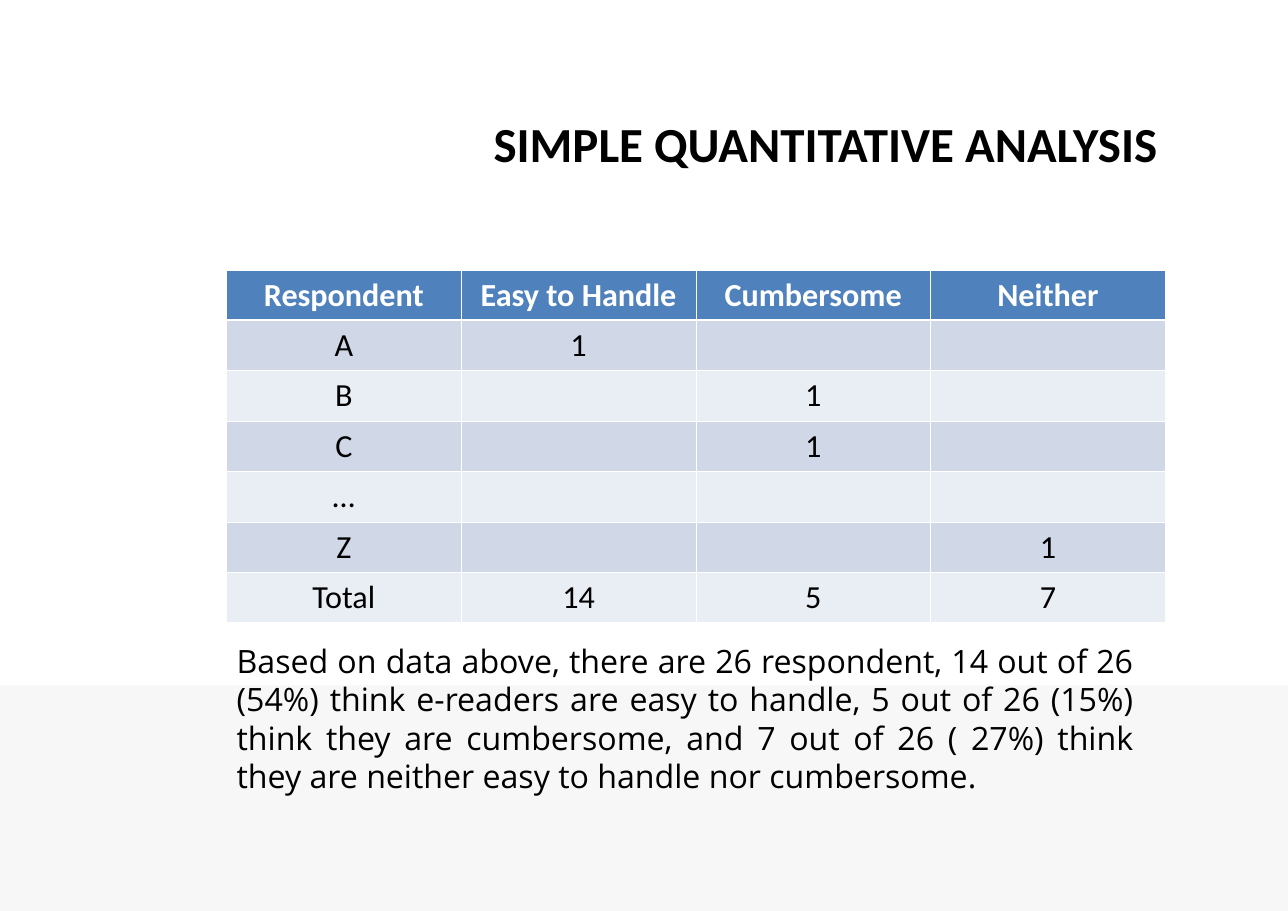
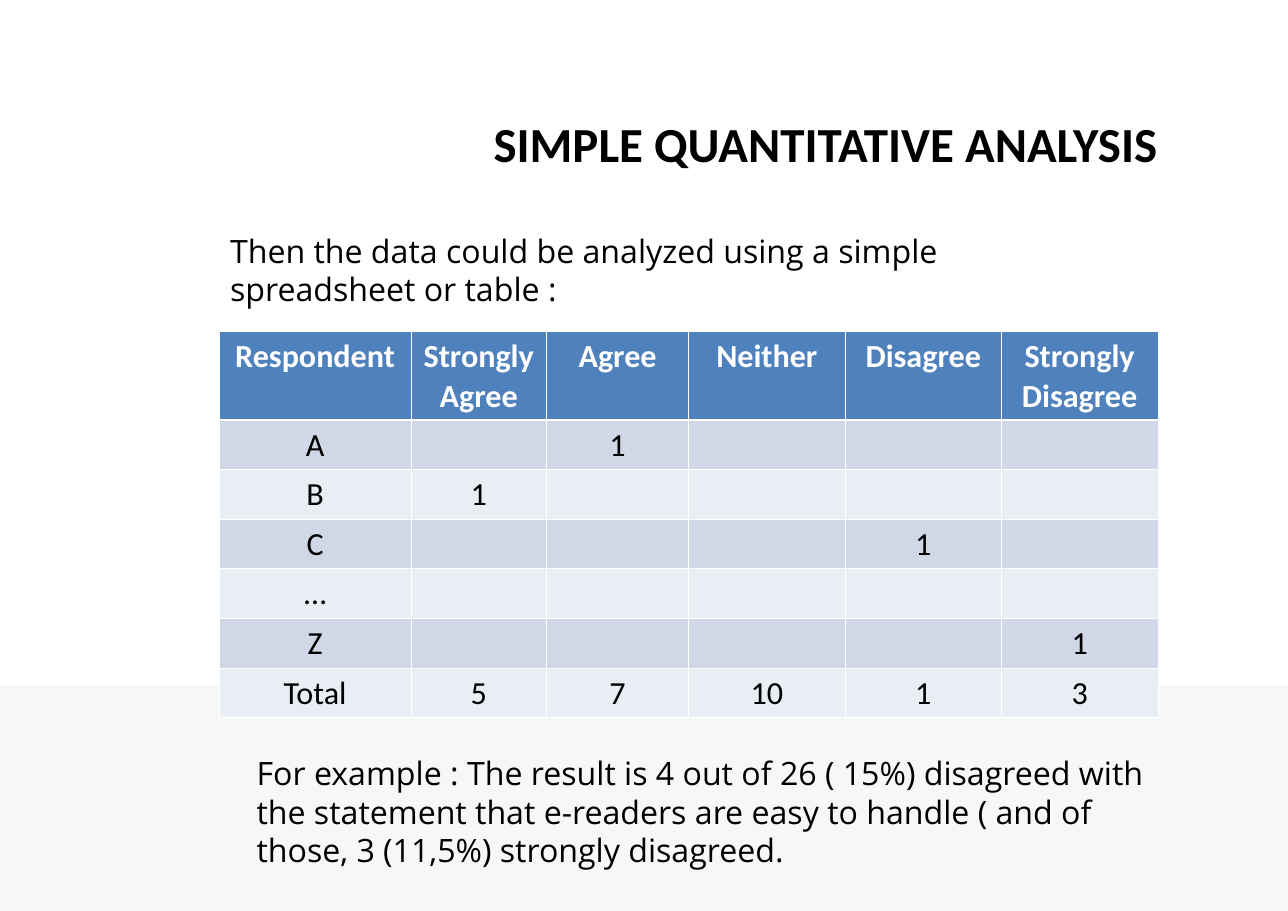
from lxml.etree import SubElement
from pptx import Presentation
from pptx.dml.color import RGBColor
from pptx.enum.shapes import MSO_SHAPE
from pptx.enum.text import MSO_ANCHOR, PP_ALIGN
from pptx.oxml.ns import qn
from pptx.util import Pt

COLORS = {
    "text": "000000",
    "white": "FFFFFF",
    "footer": "F7F7F7",
    "header": "4F81BD",
    "odd_row": "D0D8E8",
    "even_row": "E9EDF4",
}
TITLE_FONT = TABLE_FONT = "Calibri"
BODY_FONT = "Open Sans"
BODY_SIZE = 21
SLIDE_W, SLIDE_H = 841.7, 595.4
FOOTER_TOP = 448
ROW_H = 32.4
THIN, THICK = 0.45, 1.47


def color(name):
    return RGBColor.from_string(COLORS[name])


def format_text(tf, font, size, color_name="text", bold=False, align=PP_ALIGN.LEFT):
    for p in tf.paragraphs:
        p.alignment = align
        for r in p.runs:
            r.font.name = font
            r.font.size = Pt(size)
            r.font.bold = bold
            r.font.color.rgb = color(color_name)


def add_footer_band(slide):
    """Draw the band and move it to the layout, so that every slide shows it."""
    sp = slide.shapes.add_shape(MSO_SHAPE.RECTANGLE, 0, Pt(FOOTER_TOP),
                                Pt(SLIDE_W), Pt(SLIDE_H - FOOTER_TOP))
    sp.shadow.inherit = False
    sp.fill.solid()
    sp.fill.fore_color.rgb = color("footer")
    sp.line.fill.background()
    slide.slide_layout.shapes.element.insert(2, sp.element)


def set_title(slide, text):
    title = slide.shapes.title
    title.left, title.top, title.width, title.height = Pt(306), Pt(70.5), Pt(458), Pt(46)
    tf = title.text_frame
    tf.text = text
    tf.word_wrap = True
    tf.vertical_anchor = MSO_ANCHOR.TOP
    format_text(tf, TITLE_FONT, 32, bold=True, align=PP_ALIGN.RIGHT)


def add_body(slide, text, left, top, width, height, align=PP_ALIGN.LEFT):
    tf = slide.shapes.add_textbox(Pt(left), Pt(top), Pt(width), Pt(height)).text_frame
    tf.word_wrap = True
    tf.text = text
    format_text(tf, BODY_FONT, BODY_SIZE, align=align)


def set_borders(cell, widths):
    """Draw white borders; widths maps the border tags to points."""
    tc_pr = cell._tc.get_or_add_tcPr()
    for i, (tag, width) in enumerate(widths.items()):
        ln = tc_pr.makeelement(qn(f"a:{tag}"), {"w": str(int(Pt(width)))})
        fill = SubElement(ln, qn("a:solidFill"))
        SubElement(fill, qn("a:srgbClr"), val=COLORS["white"])
        tc_pr.insert(i, ln)


def format_cell(cell, row, text):
    is_header = row == 0
    cell.text = text
    cell.fill.solid()
    fill = "header" if is_header else "odd_row" if row % 2 else "even_row"
    cell.fill.fore_color.rgb = color(fill)
    format_text(cell.text_frame, TABLE_FONT, BODY_SIZE, "white" if is_header else "text",
                is_header, PP_ALIGN.CENTER)
    set_borders(cell, {"lnL": THIN, "lnR": THIN,
                       "lnT": THICK if row == 1 else THIN,
                       "lnB": THICK if is_header else THIN})


def add_table(slide, rows, left, top, col_widths, header_h=ROW_H):
    heights = [header_h] + [ROW_H] * (len(rows) - 1)
    table = slide.shapes.add_table(len(rows), len(col_widths), Pt(left), Pt(top),
                                   Pt(sum(col_widths)), Pt(sum(heights))).table
    for column, width in zip(table.columns, col_widths):
        column.width = Pt(width)
    for i, (row, height) in enumerate(zip(rows, heights)):
        table.rows[i].height = Pt(height)
        for j, text in enumerate(row):
            format_cell(table.cell(i, j), i, text)


def add_slide(prs):
    slide = prs.slides.add_slide(prs.slide_layouts[5])
    set_title(slide, "SIMPLE QUANTITATIVE ANALYSIS")
    return slide


def build_handling_slide(prs):
    slide = add_slide(prs)
    add_footer_band(slide)
    rows = [
        ["Respondent", "Easy to Handle", "Cumbersome", "Neither"],
        ["A", "1", "", ""],
        ["B", "", "1", ""],
        ["C", "", "1", ""],
        ["…", "", "", ""],
        ["Z", "", "", "1"],
        ["Total", "14", "5", "7"],
    ]
    add_table(slide, rows, 148, 176.5, [153.4] * 4)
    add_body(slide, "Based on data above, there are 26 respondent, 14 out of 26 (54%) think "
             "e-readers are easy to handle, 5 out of 26 (15%) think they are cumbersome, "
             "and 7 out of 26 ( 27%) think they are neither easy to handle nor cumbersome.",
             147.6, 415.4, 600.5, 108, PP_ALIGN.JUSTIFY)


def build_agreement_slide(prs):
    slide = add_slide(prs)
    rows = [
        ["Respondent", "Strongly\nAgree", "Agree", "Neither", "Disagree", "Strongly\nDisagree"],
        ["A", "", "1", "", "", ""],
        ["B", "1", "", "", "", ""],
        ["C", "", "", "", "1", ""],
        ["…", "", "", "", "", ""],
        ["Z", "", "", "", "", "1"],
        ["Total", "5", "7", "10", "1", "3"],
    ]
    add_body(slide, "Then the data could be analyzed using a simple spreadsheet or table :",
             143.3, 147.6, 600.5, 57.6)
    add_table(slide, rows, 143.3, 216.8, [125.3, 88.6, 92.9] + [102.2] * 3, header_h=57.6)
    add_body(slide, "For example : The result is 4 out of 26 ( 15%) disagreed with the "
             "statement that e-readers are easy to handle ( and of those, 3 (11,5%) "
             "strongly disagreed.", 160.6, 488.9, 613.4, 82.8)


def main():
    prs = Presentation()
    prs.slide_width, prs.slide_height = Pt(SLIDE_W), Pt(SLIDE_H)
    build_handling_slide(prs)
    build_agreement_slide(prs)
    prs.save("out.pptx")


if __name__ == "__main__":
    main()
